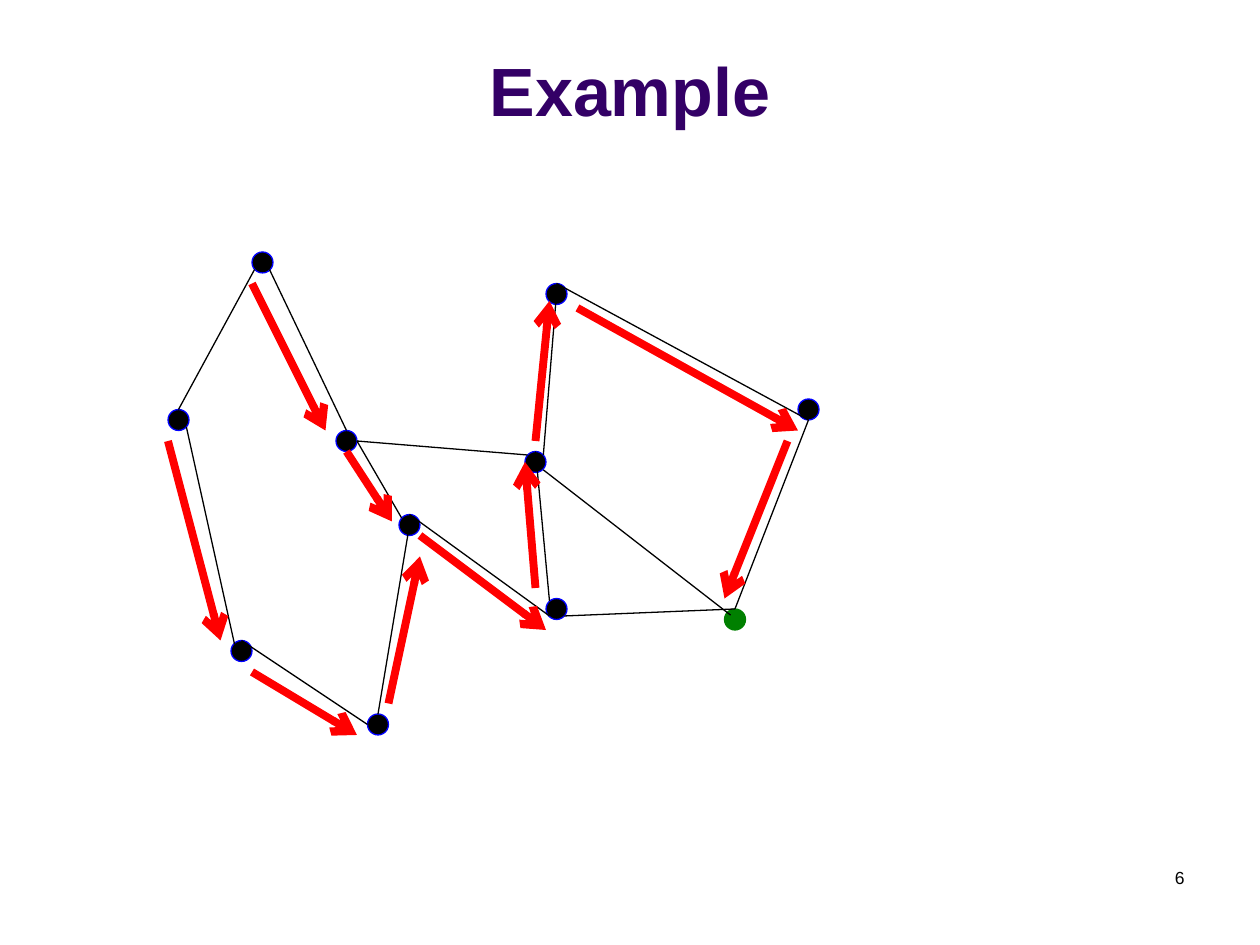
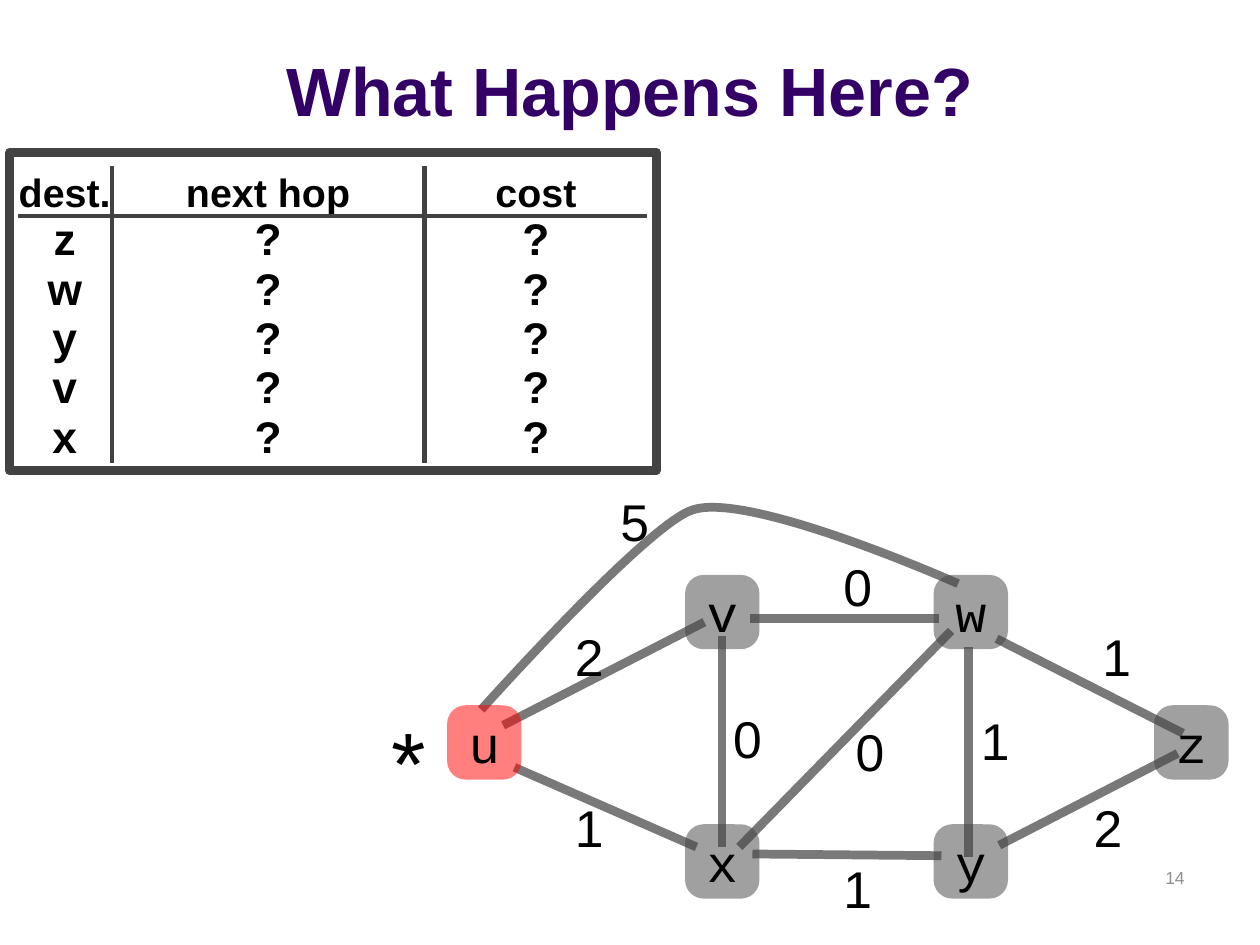
from lxml import etree
from pptx import Presentation
from pptx.dml.color import RGBColor
from pptx.enum.shapes import MSO_CONNECTOR, MSO_SHAPE
from pptx.enum.text import MSO_ANCHOR, PP_ALIGN
from pptx.oxml.ns import qn
from pptx.util import Pt

LEFT, CENTER, RIGHT = PP_ALIGN.LEFT, PP_ALIGN.CENTER, PP_ALIGN.RIGHT
TOP, MIDDLE, BOTTOM = MSO_ANCHOR.TOP, MSO_ANCHOR.MIDDLE, MSO_ANCHOR.BOTTOM
STRAIGHT = MSO_CONNECTOR.STRAIGHT
OVAL, RECTANGLE = MSO_SHAPE.OVAL, MSO_SHAPE.RECTANGLE
ROUNDED = MSO_SHAPE.ROUNDED_RECTANGLE

SANS, MONO = "Arial", "Courier New"
COLORS = {
    "title": "330066", "text": "000000", "muted": "919191",
    "dot": "000000", "dot_line": "0000FF", "goal": "008000",
    "step": "FF0000", "link": "797979", "dark": "424242", "source": "FF0000",
}

DOT_SIZE = 12
DOTS = [(144, 144), (96, 234), (312, 162), (312, 342), (210, 408),
        (192, 246), (456, 228), (228, 294), (132, 366), (300, 258)]
GOAL = (414, 348)
EDGES = [
    (154, 154, 198, 246), (145.5, 154, 102, 234), (106.5, 244, 134, 368),
    (204, 252, 229.5, 296), (310.5, 268.5, 417.5, 351.5),
    (318, 168, 310.5, 260), (318, 162, 462, 240), (462, 240, 420, 348),
    (138, 366, 210, 414), (234, 294, 314, 352), (420, 348, 322.5, 352),
    (306, 258, 314, 343.5), (234, 300, 216, 408), (204, 252, 301.5, 260),
]
STEPS = [
    (144, 162, 186, 246), (198, 258, 224, 298), (240, 306, 312, 360),
    (306, 336, 300, 264), (306, 252, 314, 172), (330, 176, 456, 246),
    (450, 252, 414, 342), (222, 402, 240, 318), (144, 384, 204, 420),
    (96, 252, 126, 366),
]

ROUTER_SIZE = 42.5
ROUTERS = {"u": (255.5, 403), "v": (391.5, 328.5), "w": (533.5, 328.5),
           "x": (391.5, 471), "y": (533.5, 471), "z": (659.5, 403)}
LINKS = [
    (402.5, 355.5, 287.5, 414.5), (412.5, 363.5, 412.5, 484),
    (569.5, 365, 676, 419), (571, 483, 673, 430.5),
    (294, 438.5, 398, 484), (536.5, 353.5, 428.5, 353.5),
    (538, 489, 430, 488), (553.5, 369.5, 553.5, 489.5),
    (543.5, 360.5, 422.5, 484),
]
LONG_LINK = [(275, 405.5), (275, 405.5), (369.5, 300), (395.5, 291.5),
             (427.5, 280), (547.5, 333.5), (547.5, 333.5)]
COSTS = [("2", 325.5, 354), ("1", 325.5, 451.5), ("0", 479, 314),
         ("0", 416, 400.5), ("1", 479, 486.5), ("0", 486, 408),
         ("1", 627, 354), ("1", 557.5, 402), ("2", 622, 451.5),
         ("5", 351.5, 276.5)]
ROUTES = [("dest.", "next hop", "cost")] + [(name, "?", "?") for name in "zwyvx"]
COLUMN_WIDTHS = (54, 178.5, 127.5)


def rgb(name):
    """Return a named colour."""
    return RGBColor.from_string(COLORS[name])


def write(paragraph, text, size, color="text", font=SANS, bold=False, align=LEFT):
    """Add one formatted run to a paragraph."""
    paragraph.alignment = align
    run = paragraph.add_run()
    run.text = text
    run.font.name, run.font.size, run.font.bold = font, Pt(size), bold
    run.font.color.rgb = rgb(color)


def add_text(slide, text, box, size, anchor=TOP, inset=None, wrap=True, **style):
    """Add a text box with one line of text."""
    frame = slide.shapes.add_textbox(*map(Pt, box)).text_frame
    frame.word_wrap = wrap
    frame.vertical_anchor = anchor
    if inset is not None:
        frame.margin_left = frame.margin_right = Pt(inset)
        frame.margin_top = frame.margin_bottom = Pt(inset)
    write(frame.paragraphs[0], text, size, **style)


def add_slide(presentation, title, number, number_color):
    """Add a blank slide with its title and number."""
    slide = presentation.slides.add_slide(presentation.slide_layouts[6])
    add_text(slide, title, (0, 9.5, 720, 68.5), 39, BOTTOM,
             color="title", bold=True, align=CENTER)
    add_text(slide, number, (516, 492, 168, 36), 10, color=number_color, align=RIGHT)
    return slide


def add_shape(slide, kind, box, fill=None, line=None, width=0.75):
    """Add a preset shape without shadow."""
    shape = slide.shapes.add_shape(kind, *map(Pt, box))
    shape.shadow.inherit = False
    if fill:
        shape.fill.solid()
        shape.fill.fore_color.rgb = rgb(fill)
    else:
        shape.fill.background()
    if line:
        shape.line.color.rgb = rgb(line)
        shape.line.width = Pt(width)
    else:
        shape.line.fill.background()
    return shape


def add_line(slide, ends, color, width, arrow=False):
    """Add a straight line, with an arrowhead at its end if wanted."""
    connector = slide.shapes.add_connector(STRAIGHT, *map(Pt, ends))
    connector.line.color.rgb = rgb(color)
    connector.line.width = Pt(width)
    properties = connector._element.spPr
    if arrow:
        etree.SubElement(properties.find(qn("a:ln")), qn("a:tailEnd"), type="arrow")
    etree.SubElement(properties, qn("a:effectLst"))


def add_curve(slide, points, color, width):
    """Add a chain of cubic curves through every third point."""
    start, *rest = [(Pt(x), Pt(y)) for x, y in points]
    builder = slide.shapes.build_freeform(*start)
    builder.add_line_segments(rest, close=False)
    shape = builder.convert_to_shape()
    shape.shadow.inherit = False
    shape.fill.background()
    shape.line.color.rgb = rgb(color)
    shape.line.width = Pt(width)
    outline = shape._element.find(".//" + qn("a:path"))
    for index, segment in enumerate(outline.findall(qn("a:lnTo"))):
        if index % 3 == 0:
            curve = etree.SubElement(outline, qn("a:cubicBezTo"))
        curve.append(segment[0])
        outline.remove(segment)


def add_router(slide, name, position):
    """Add a half-transparent router with its name."""
    fill = "source" if name == "u" else "dark"
    shape = add_shape(slide, ROUNDED, (*position, ROUTER_SIZE, ROUTER_SIZE), fill)
    shape.adjustments[0] = 0.25
    color = shape._element.spPr.find(".//" + qn("a:srgbClr"))
    etree.SubElement(color, qn("a:alpha"), val="50000")
    frame = shape.text_frame
    frame.vertical_anchor = MIDDLE
    frame.margin_left = frame.margin_right = 0
    frame.margin_top = frame.margin_bottom = 0
    write(frame.paragraphs[0], name, 29.5, font=MONO, align=CENTER)


def set_borders(cell, visible):
    """Draw the visible sides of a cell and clear the others."""
    properties = cell._tc.get_or_add_tcPr()
    for index, side in enumerate(("L", "R", "T", "B")):
        line = etree.Element(qn("a:ln" + side), w=str(Pt(3)))
        if side in visible:
            fill = etree.SubElement(line, qn("a:solidFill"))
            etree.SubElement(fill, qn("a:srgbClr"), val=COLORS["dark"])
        else:
            etree.SubElement(line, qn("a:noFill"))
        properties.insert(index, line)


def add_routing_table(slide):
    """Add the framed routing table with its inner rules."""
    add_shape(slide, RECTANGLE, (5.5, 87, 369.5, 182), line="dark", width=5)
    box = (10, 95, sum(COLUMN_WIDTHS), 169.5)
    table = slide.shapes.add_table(len(ROUTES), 3, *map(Pt, box)).table
    table.first_row = table.horz_banding = False
    for column, width in zip(table.columns, COLUMN_WIDTHS):
        column.width = Pt(width)
    for row_index, route in enumerate(ROUTES):
        header = row_index == 0
        table.rows[row_index].height = Pt(28.5 if header else 28.2)
        for column_index, text in enumerate(route):
            cell = table.cell(row_index, column_index)
            cell.fill.background()
            cell.vertical_anchor = MIDDLE
            cell.margin_left = cell.margin_right = 0
            cell.margin_top = cell.margin_bottom = 0
            paragraph = cell.text_frame.paragraphs[0]
            paragraph.line_spacing = Pt(28)
            write(paragraph, text, 22.5 if header else 25.3, bold=True, align=CENTER)
            visible = "B" if header else "T" if row_index == 1 else ""
            visible += ("R", "LR", "L")[column_index]
            set_borders(cell, visible)


def build_example(presentation):
    """Build the graph with the steps of a walk to the goal."""
    slide = add_slide(presentation, "Example", "6", "text")
    for position in DOTS:
        add_shape(slide, OVAL, (*position, DOT_SIZE, DOT_SIZE), "dot", "dot_line")
    add_shape(slide, OVAL, (*GOAL, DOT_SIZE, DOT_SIZE), "goal", "goal")
    for ends in EDGES:
        add_line(slide, ends, "dot", 0.75)
    for ends in STEPS:
        add_line(slide, ends, "step", 4.5, arrow=True)


def build_routing(presentation):
    """Build the network with link costs and the routing table."""
    slide = add_slide(presentation, "What Happens Here?", "14", "muted")
    for ends in LINKS:
        add_line(slide, ends, "link", 5)
    add_curve(slide, LONG_LINK, "link", 5)
    for name, position in ROUTERS.items():
        add_router(slide, name, position)
    for cost, left, top in COSTS:
        add_text(slide, cost, (left, top, 22, 42), 29.5, MIDDLE, 3, wrap=False)
    add_text(slide, "*", (220.5, 401, 27.5, 67), 50.6, MIDDLE, 3, wrap=False)
    add_routing_table(slide)


def main():
    """Build both slides and save them."""
    presentation = Presentation()
    presentation.slide_width, presentation.slide_height = Pt(720), Pt(540)
    build_example(presentation)
    build_routing(presentation)
    presentation.save("out.pptx")


if __name__ == "__main__":
    main()
